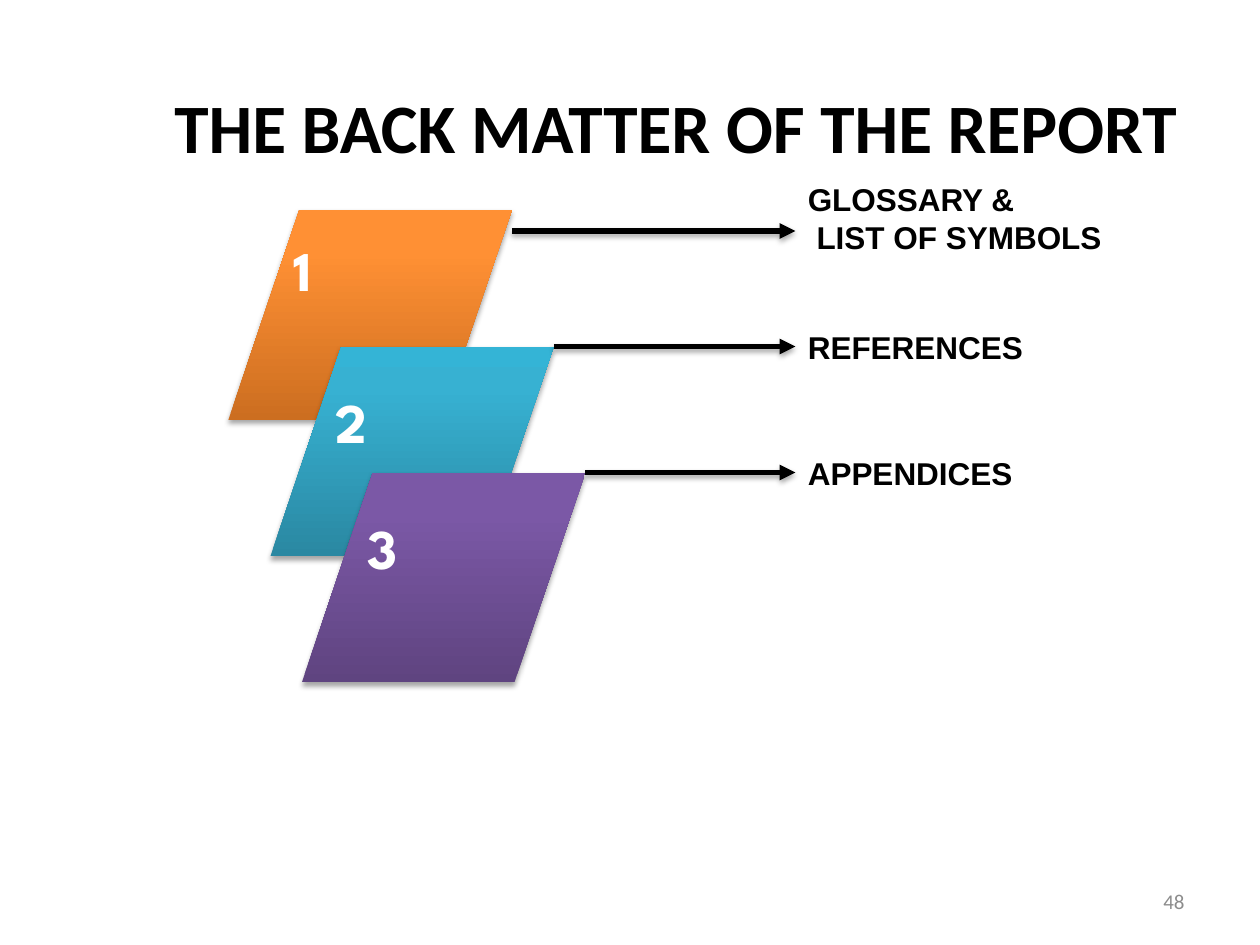
from copy import deepcopy

from lxml import etree
from pptx import Presentation
from pptx.dml.color import RGBColor
from pptx.enum.shapes import MSO_CONNECTOR, MSO_SHAPE
from pptx.enum.text import MSO_ANCHOR, PP_ALIGN
from pptx.oxml.ns import qn
from pptx.util import Pt

PARALLELOGRAM = MSO_SHAPE.PARALLELOGRAM
RECTANGLE = MSO_SHAPE.RECTANGLE
STRAIGHT = MSO_CONNECTOR.STRAIGHT
TOP, MIDDLE = MSO_ANCHOR.TOP, MSO_ANCHOR.MIDDLE
LEFT, CENTER, RIGHT = PP_ALIGN.LEFT, PP_ALIGN.CENTER, PP_ALIGN.RIGHT

COLORS = {"black": "000000", "white": "FFFFFF", "gray": "8C8C8C"}
GRADIENTS = {
    "orange": ("CC6E20", "FF9034", "FF9136"),
    "teal": ("2A88A2", "37B1D2", "34B4D6"),
    "purple": ("5F4480", "7B58A6", "7C57A8"),
}
STOP_POSITIONS = (0, 0.8, 1)
TILE_WIDTH, TILE_HEIGHT = 162, 120
LABEL_LEFT, LABEL_WIDTH = 454.5, 201
LEFT_SIDE = 1


def rgb(name):
    return RGBColor.from_string(COLORS[name])


def add_run(paragraph, text, font, size, color, bold=True, align=LEFT):
    paragraph.alignment = align
    run = paragraph.add_run()
    run.text = text
    run.font.name = font
    run.font.size = Pt(size)
    run.font.bold = bold
    run.font.color.rgb = rgb(color)


def add_shadow(shape):
    """Give a shape or connector a soft shadow that falls straight down."""
    properties = shape._element.spPr
    effects = properties.find(qn("a:effectLst"))
    if effects is None:
        effects = etree.SubElement(properties, qn("a:effectLst"))
    shadow = etree.SubElement(
        effects, qn("a:outerShdw"), blurRad=str(Pt(3.1)), dist=str(Pt(1.8)),
        dir="5400000", rotWithShape="0")
    color = etree.SubElement(shadow, qn("a:srgbClr"), val=COLORS["black"])
    etree.SubElement(color, qn("a:alpha"), val="35000")


def fill_gradient(shape, colors):
    """Fill with three stops that run from bottom to top."""
    shape.fill.gradient()
    shape.fill.gradient_angle = 90
    stop_list = shape._element.spPr.find(".//" + qn("a:gsLst"))
    stop_list.append(deepcopy(stop_list[-1]))
    for stop, position, color in zip(shape.fill.gradient_stops, STOP_POSITIONS, colors):
        stop.position = position
        stop.color.rgb = RGBColor.from_string(color)


def add_title(slide, text):
    title = slide.shapes.title
    title.left, title.top, title.width, title.height = Pt(88.5), Pt(42), Pt(595.5), Pt(60)
    title.text_frame.vertical_anchor = MIDDLE
    add_run(title.text_frame.paragraphs[0], text, "Calibri", 39.6, "black", align=CENTER)


def add_slide_number(slide, text):
    box = slide.shapes.add_textbox(Pt(516), Pt(500.5), Pt(168), Pt(28.5))
    box.text_frame.word_wrap = True
    box.text_frame.vertical_anchor = MIDDLE
    add_run(box.text_frame.paragraphs[0], text, "Calibri", 12, "gray", False, RIGHT)


def add_tile(slide, number, left, top, gradient, text_inset):
    tile = slide.shapes.add_shape(
        PARALLELOGRAM, Pt(left), Pt(top), Pt(TILE_WIDTH), Pt(TILE_HEIGHT))
    tile.adjustments[0] = 0.338
    fill_gradient(tile, GRADIENTS[gradient])
    tile.line.fill.background()
    tile.shadow.inherit = False
    add_shadow(tile)
    frame = tile.text_frame
    frame.word_wrap = False
    frame.vertical_anchor = TOP
    frame.margin_top = Pt(text_inset)
    add_run(frame.paragraphs[0], str(number), "League Spartan", 32, "white")


def add_label(slide, lines, top, height):
    """Add a label; each line is a text and its left indent."""
    label = slide.shapes.add_shape(
        RECTANGLE, Pt(LABEL_LEFT), Pt(top), Pt(LABEL_WIDTH), Pt(height))
    label.fill.solid()
    label.fill.fore_color.rgb = rgb("white")
    label.line.color.rgb = rgb("white")
    label.line.width = Pt(0.75)
    label.shadow.inherit = False
    frame = label.text_frame
    frame.word_wrap = False
    frame.vertical_anchor = MIDDLE
    for index, (text, indent) in enumerate(lines):
        paragraph = frame.add_paragraph() if index else frame.paragraphs[0]
        if indent:
            paragraph._p.get_or_add_pPr().set("marL", str(Pt(indent)))
        add_run(paragraph, text, "Arial", 18, "black")
    return label


def add_arrow(slide, start, y, label):
    arrow = slide.shapes.add_connector(STRAIGHT, Pt(start), Pt(y), Pt(LABEL_LEFT), Pt(y))
    if label.top + label.height // 2 == Pt(y):
        arrow.end_connect(label, LEFT_SIDE)
    arrow.line.color.rgb = rgb("black")
    arrow.line.width = Pt(3)
    etree.SubElement(arrow.line._get_or_add_ln(), qn("a:tailEnd"), type="triangle")
    add_shadow(arrow)


def main():
    presentation = Presentation()
    presentation.slide_width, presentation.slide_height = Pt(720), Pt(540)
    slide = presentation.slides.add_slide(presentation.slide_layouts[5])
    add_slide_number(slide, "48")
    add_title(slide, "THE BACK MATTER OF THE REPORT")

    # Tile left, top, gradient, text inset; arrow height; label lines, top, height
    parts = [
        (130.5, 120, "orange", -8, 132,
         [("GLOSSARY &", 0), ("LIST OF SYMBOLS", 5)], 102, 45),
        (154.5, 198, "teal", 1, 198, [("REFERENCES", 0)], 180, 36),
        (172.5, 270, "purple", 1, 270, [("APPENDICES", 0)], 252, 36),
    ]
    for number, part in enumerate(parts, start=1):
        left, top, gradient, inset, arrow_y, lines, label_top, label_height = part
        add_tile(slide, number, left, top, gradient, inset)
        label = add_label(slide, lines, label_top, label_height)
        add_arrow(slide, left + TILE_WIDTH, arrow_y, label)

    presentation.save("out.pptx")


if __name__ == "__main__":
    main()
